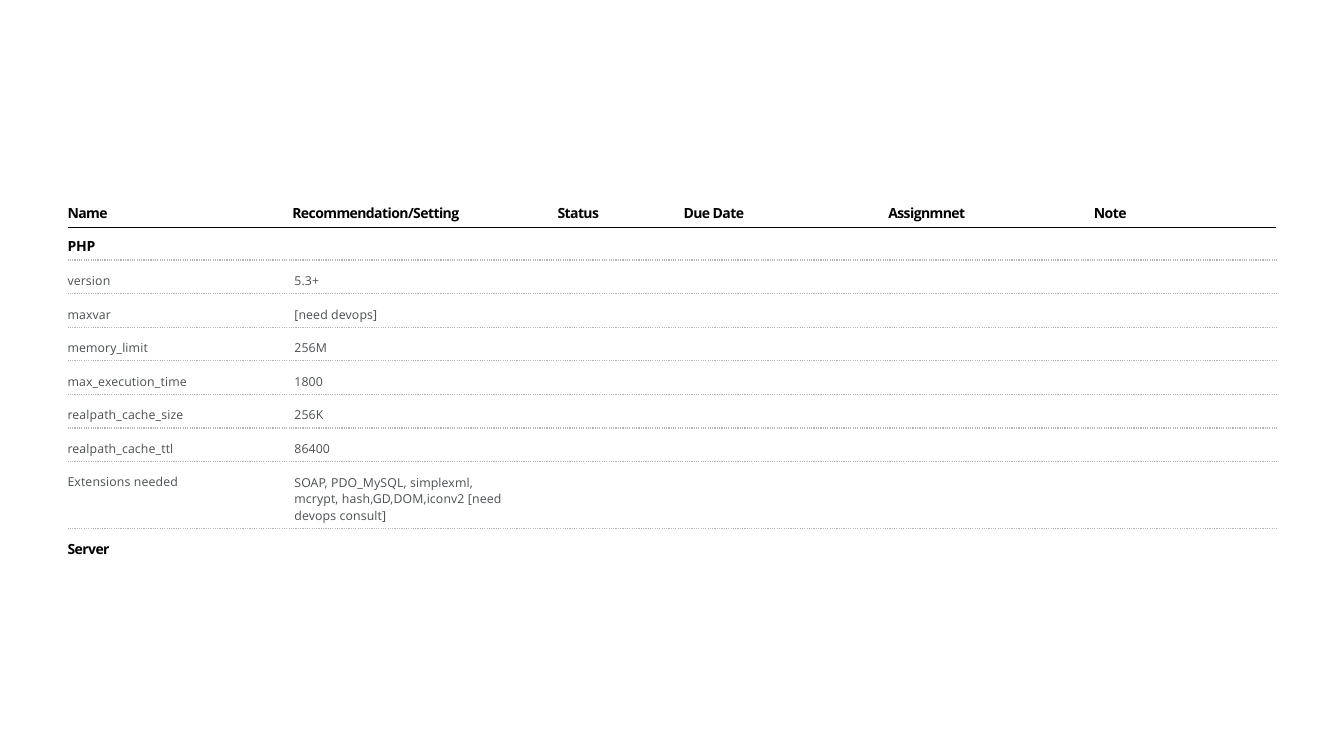
from lxml import etree
from pptx import Presentation
from pptx.dml.color import RGBColor
from pptx.enum import dml, shapes, text
from pptx.oxml.ns import qn
from pptx.util import Inches, Pt

BLACK, GREY, DOTS = "000000", "4B4F51", "B4B5B7"
LEFT, RIGHT = 0.67, 12.66
NAME_X, SETTING_X = 0.67, 2.92
ROW_STEP = 0.33

deck = Presentation()
deck.slide_width, deck.slide_height = Inches(13.33), Inches(7.5)
slide = deck.slides.add_slide(deck.slide_layouts[6])


def add_label(words, x, y, width, height=0.18, size=10, color=BLACK, bold=True, spacing=-40):
    box = slide.shapes.add_textbox(Inches(x), Inches(y), Inches(width), Inches(height))
    frame = box.text_frame
    frame.word_wrap = height > 0.2
    frame.auto_size = text.MSO_AUTO_SIZE.NONE
    frame.margin_left = frame.margin_right = frame.margin_bottom = 0
    frame.margin_top = Inches(0.01)
    frame.text = words
    paragraph = frame.paragraphs[0]
    paragraph.space_before = Pt(0.7)
    for run in paragraph.runs:
        run.font.name, run.font.size, run.font.bold = "Open Sans", Pt(size), bold
        run.font.color.rgb = RGBColor.from_string(color)
        run.font._element.set("spc", str(spacing))
    return paragraph


def add_rule(y, color, dash=None):
    rule = slide.shapes.add_connector(
        shapes.MSO_CONNECTOR.STRAIGHT, Inches(LEFT), Inches(y), Inches(RIGHT), Inches(y))
    rule.line.color.rgb = RGBColor.from_string(color)
    rule.line.width = Pt(0.82)
    if dash:
        rule.line.dash_style = dash
    etree.SubElement(rule._element.spPr, qn("a:effectLst"))


# Column headings
headings = [
    ("Name", NAME_X, 0.42),
    ("Recommendation/Setting", 2.9, 1.74),
    ("Status", 5.53, 0.44),
    ("Due Date", 6.78, 0.65),
    ("Assignmnet", 8.81, 0.81),
    ("Note", 10.85, 0.35),
]
for heading, x, width in headings:
    add_label(heading, x, 2.02, width)
add_rule(2.26, "000101")

# Section headings
add_label("PHP", NAME_X, 2.35, 0.29, spacing=-10)
add_label("Server", NAME_X, 5.35, 0.52)

# Settings: name, name width, value, value width
settings = [
    ("version", 0.45, "5.3+", 0.27),
    ("maxvar", 0.45, "[need devops]", 0.85),
    ("memory_limit", 0.83, "256M", 0.35),
    ("max_execution_time", 1.22, "1800", 0.3),
    ("realpath_cache_size", 1.18, "256K", 0.31),
    ("realpath_cache_ttl", 1.08, "86400", 0.38),
    ("Extensions needed", 1.13,
     "SOAP, PDO_MySQL, simplexml, mcrypt, hash,GD,DOM,iconv2 [need devops consult]", 2.11),
]
body = dict(size=8.8, color=GREY, bold=False, spacing=10)
for row, (name, name_width, value, value_width) in enumerate(settings):
    y = 2.7 + row * ROW_STEP * 1.01
    add_label(name, NAME_X, y, name_width, 0.16, **body)
    if row < len(settings) - 1:
        add_label(value, SETTING_X, y, value_width, 0.16, **body)
    else:
        extensions = add_label(value, SETTING_X, 4.68, value_width, 0.5, **body)
        extensions.line_spacing = 1.14

# Dotted row rules; the last row is twice as tall
for step in [0, 1, 2, 3, 4, 5, 6, 8]:
    add_rule(2.58 + step * ROW_STEP * 1.01, DOTS, dml.MSO_LINE.ROUND_DOT)

deck.save("out.pptx")
